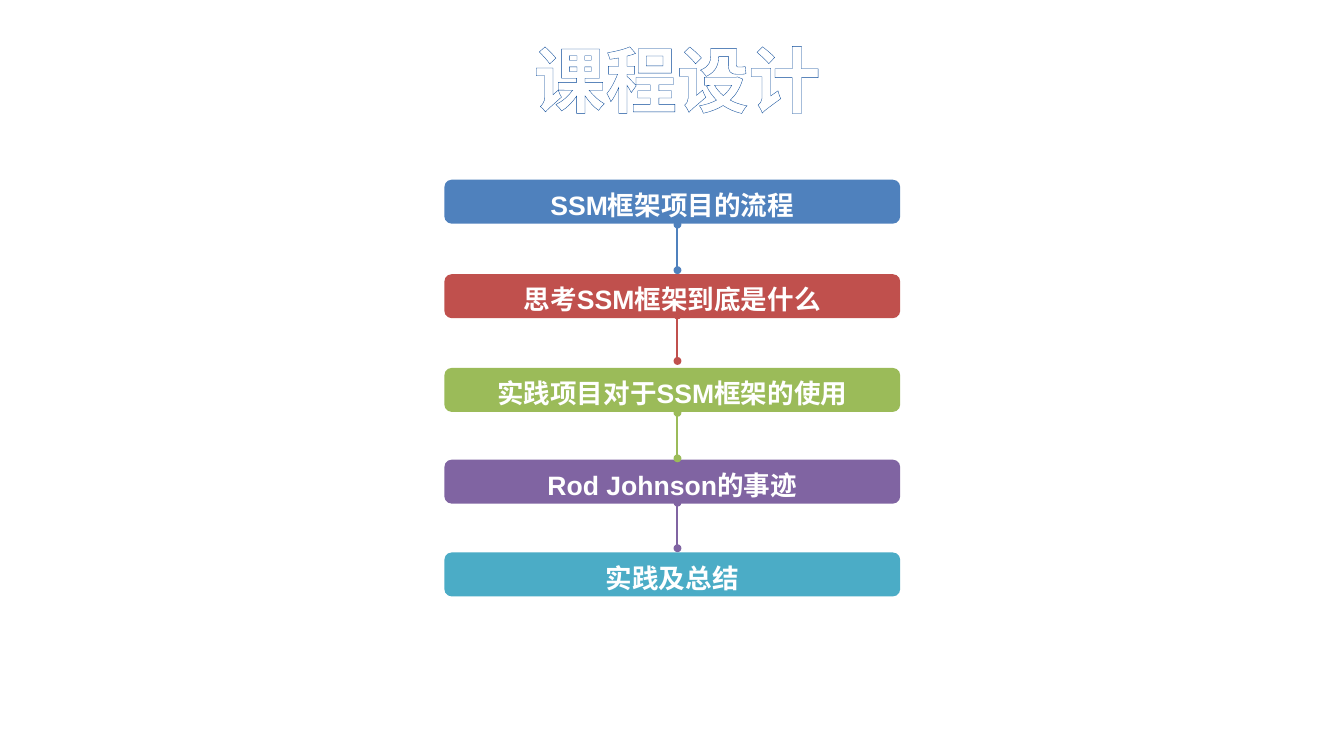
from lxml import etree
from pptx import Presentation
from pptx.dml.color import RGBColor
from pptx.enum.shapes import MSO_CONNECTOR, MSO_SHAPE
from pptx.enum.text import MSO_ANCHOR, MSO_AUTO_SIZE, PP_ALIGN
from pptx.oxml.ns import qn
from pptx.util import Pt

ROUNDED, STRAIGHT = MSO_SHAPE.ROUNDED_RECTANGLE, MSO_CONNECTOR.STRAIGHT
TOP, MIDDLE, CENTER = MSO_ANCHOR.TOP, MSO_ANCHOR.MIDDLE, PP_ALIGN.CENTER
NO_FIT = MSO_AUTO_SIZE.NONE

TITLE = "课程设计"
# text, colour, top of the bar, top of the link below it (points)
STEPS = [
    ("SSM框架项目的流程", "4F81BD", 135.4, 169.2),
    ("思考SSM框架到底是什么", "C0504D", 206.6, 237.6),
    ("实践项目对于SSM框架的使用", "9BBB59", 277.2, 311),
    ("Rod Johnson的事迹", "8064A2", 346.3, 378.7),
    ("实践及总结", "4BACC6", 416.2, None),
]
BAR_LEFT, BAR_WIDTH, BAR_HEIGHT = 334.8, 343.4, 33.1
LINK_X, LINK_LENGTH = 510.4, 34.3
TITLE_BOX = (393.8, 23, 232.6, 72.7)
TITLE_FONT = {"name": "Calibri", "size": Pt(54), "bold": True}
STEP_FONT = {"name": "Arial", "size": Pt(20), "bold": True}


def rgb(color):
    return RGBColor.from_string(color)


def write(shape, text, font, anchor):
    """Fill a shape with one centred white paragraph and return it."""
    tf = shape.text_frame
    tf.word_wrap = True
    tf.vertical_anchor = anchor
    p = tf.paragraphs[0]
    p.alignment = CENTER
    r = p.add_run()
    r.text = text
    for name, value in font.items():
        setattr(r.font, name, value)
    r.font.color.rgb = rgb("FFFFFF")
    return p


def outline_text(r, color, width):
    rPr = r.font._element
    ln = etree.Element(qn("a:ln"), w=str(Pt(width)))
    fill = etree.SubElement(ln, qn("a:solidFill"))
    etree.SubElement(fill, qn("a:srgbClr"), val=color)
    rPr.insert(0, ln)


def add_title(s):
    title = s.shapes.title
    title.left, title.top, title.width, title.height = map(Pt, TITLE_BOX)
    p = write(title, TITLE, TITLE_FONT, TOP)
    title.text_frame.auto_size = NO_FIT
    outline_text(p.runs[0], "054697", 1)


def add_bar(s, text, color, top):
    bar = s.shapes.add_shape(ROUNDED, Pt(BAR_LEFT), Pt(top),
                             Pt(BAR_WIDTH), Pt(BAR_HEIGHT))
    bar.shadow.inherit = False
    bar.fill.solid()
    bar.fill.fore_color.rgb = rgb(color)
    bar.line.fill.background()
    write(bar, text, STEP_FONT, MIDDLE).line_spacing = 1.2


def add_link(s, color, top):
    link = s.shapes.add_connector(STRAIGHT, Pt(LINK_X), Pt(top),
                                  Pt(LINK_X), Pt(top + LINK_LENGTH))
    link.line.color.rgb = rgb(color)
    link.line.width = Pt(1.5)
    ln = link.line._get_or_add_ln()
    for end in ("a:headEnd", "a:tailEnd"):
        etree.SubElement(ln, qn(end), type="oval")
    etree.SubElement(link._element.spPr, qn("a:effectLst"))


def main():
    prs = Presentation()
    prs.slide_width, prs.slide_height = Pt(1012.5), Pt(569.5)
    s = prs.slides.add_slide(prs.slide_layouts[5])
    add_title(s)
    for text, color, top, link_top in STEPS:
        add_bar(s, text, color, top)
    for text, color, top, link_top in STEPS[:-1]:
        add_link(s, color, link_top)
    prs.save("out.pptx")


if __name__ == "__main__":
    main()
